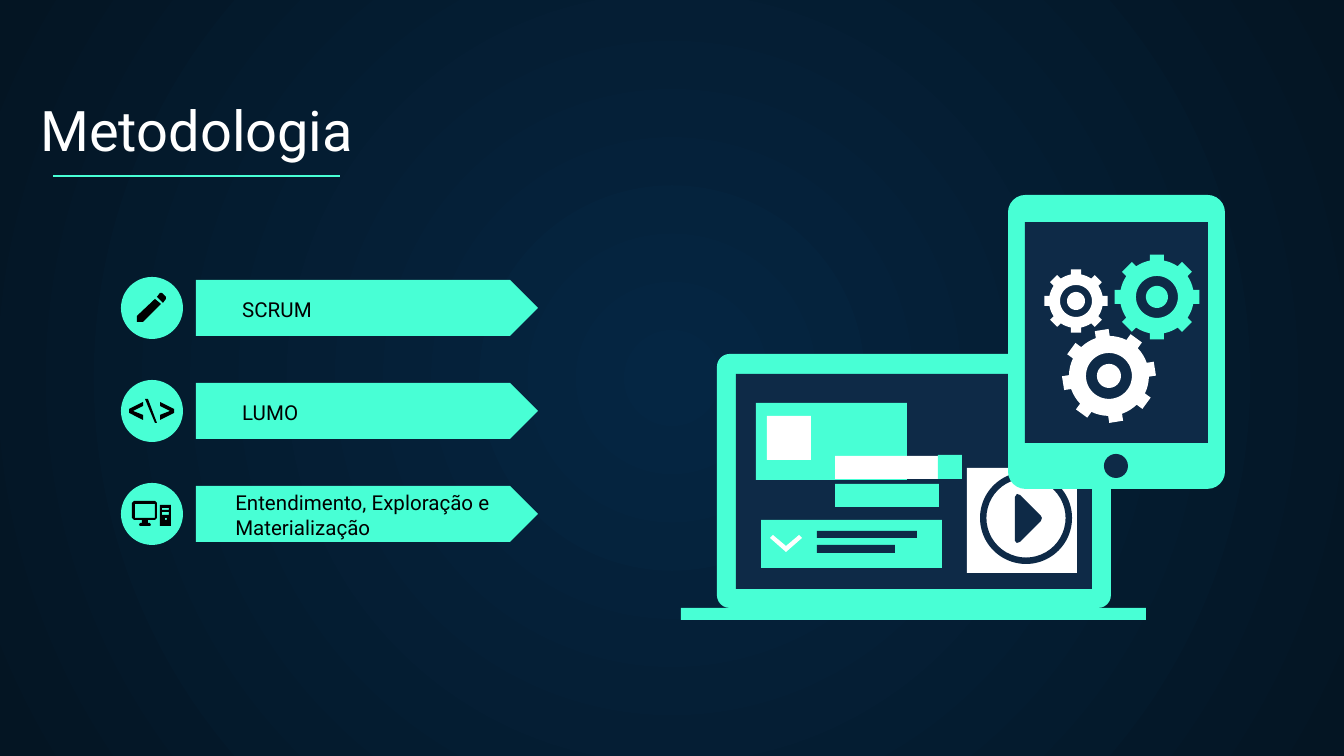
"""Build the methodology slide: three steps beside a laptop and a tablet."""
from math import cos, sin, radians, pi, asin

from lxml import etree
from pptx import Presentation
from pptx.dml.color import RGBColor
from pptx.enum.shapes import MSO_CONNECTOR, MSO_SHAPE
from pptx.enum.text import MSO_ANCHOR, MSO_AUTO_SIZE, PP_ALIGN
from pptx.oxml.ns import qn
from pptx.util import Pt

PX = 914400 / 134.4
FONT = "Roboto"
RECT = MSO_SHAPE.RECTANGLE
ROUND = MSO_SHAPE.ROUNDED_RECTANGLE
OVAL = MSO_SHAPE.OVAL
RING = MSO_SHAPE.DONUT
ARROW = MSO_SHAPE.PENTAGON
LINE = MSO_CONNECTOR.STRAIGHT
BOTTOM = MSO_ANCHOR.BOTTOM
LEFT = PP_ALIGN.LEFT
FIXED = MSO_AUTO_SIZE.NONE

COLORS = {"mint": "48FFD5", "navy": "0E2A47", "white": "FFFFFF",
          "black": "000000", "core": "052643", "edge": "041523"}

TITLE = ("Metodologia", (27, 85, 969, 91))
PITCH = 103
STEPS = [
    ("SCRUM", (229, 306, 305, 29)),
    ("LUMO", (229, 410, 305, 28)),
    ("Entendimento, Exploração e Materialização", (222, 513, 313, 40)),
]


def block(left, top, right, low):
    return [(left, top), (right, top), (right, low), (left, low)]


PENCIL = [
    [(155, 299), (137, 316), (137, 322), (143, 322), (161, 304)],
    [(160, 293), (157, 297), (163, 303), (166, 299), (166, 297), (162, 293)],
]
ANGLE = [(143, 420), (129, 413), (129, 409), (143, 402),
         (143, 406), (133, 411), (143, 415)]
SLASH = [(155, 423), (145, 399), (148, 399), (157, 423)]
MIRROR = [(303 - x, y) for x, y in ANGLE]
SCREEN = [
    [(134, 501), (155, 501), (157, 503), (157, 518), (155, 520), (148, 520),
     (148, 523), (150, 523), (151, 525), (150, 526), (140, 526), (139, 525),
     (140, 523), (142, 523), (142, 520), (134, 520), (132, 518), (132, 503)],
    block(135, 504, 155, 518),
]
TOWER = [block(160, 505, 171, 526), block(162, 508, 169, 510),
         block(162, 512, 169, 515), block(165, 518, 167, 520)]
ICONS = [PENCIL, [ANGLE], [SLASH], [MIRROR], SCREEN, TOWER]

CHEVRON = [(770, 538), (773, 535), (786, 546), (799, 535), (802, 538), (786, 552)]
PLAY = [(1015, 497), (1017, 494), (1020, 495), (1041, 516), (1042, 518),
        (1041, 521), (1020, 542), (1017, 543), (1015, 541)]

LAPTOP = [
    (ROUND, (717, 354, 394, 254), "mint", 0.05),
    (RECT, (736, 374, 356, 215), "navy", None),
    (RECT, (681, 608, 465, 12), "mint", None),
    (RECT, (756, 403, 151, 77), "mint", None),
    (RECT, (767, 416, 44, 44), "white", None),
    (RECT, (761, 520, 181, 48), "mint", None),
    (RECT, (817, 531, 100, 7), "navy", None),
    (RECT, (817, 545, 78, 8), "navy", None),
    (RECT, (835, 484, 104, 23), "mint", None),
    (RECT, (835, 456, 104, 23), "white", None),
    (RECT, (938, 455, 24, 24), "mint", None),
    (RECT, (967, 468, 110, 105), "white", None),
    (RING, (980, 472, 92, 92), "navy", 0.07),
]
TABLET = [
    (ROUND, (1008, 195, 217, 294), "mint", 0.08),
    (RECT, (1025, 222, 183, 221), "navy", None),
    (OVAL, (1104, 454, 24, 24), "navy", None),
]
GEARS = [
    ((1157, 297), (43, 37, 21, 11), 7, 0, "mint"),
    ((1076, 301), (32, 27, 16, 9), 5, 0, "white"),
    ((1109, 376), (47, 40, 23, 12), 7, -9, "white"),
]


def emu(*vals):
    return [round(v * PX) for v in vals]


def rgb(name):
    return RGBColor.from_string(COLORS[name])


def paint(shape, color):
    shape.shadow.inherit = False
    shape.fill.solid()
    shape.fill.fore_color.rgb = rgb(color)
    shape.line.fill.background()


def draw(slide, kind, box, color, adj=None):
    shape = slide.shapes.add_shape(kind, *emu(*box))
    if adj is not None:
        shape.adjustments[0] = adj
    paint(shape, color)


def trace(slide, loops, color):
    pen = None
    for loop in loops:
        pts = [emu(*pt) for pt in loop]
        if pen is None:
            pen = slide.shapes.build_freeform(*pts[0])
        else:
            pen.move_to(*pts[0])
        pen.add_line_segments(pts[1:], close=True)
    paint(pen.convert_to_shape(), color)


def gear(mid, radii, half, turn):
    tip, root, hole, hub = radii

    def spot(rad, ang):
        return mid[0] + rad * sin(ang), mid[1] - rad * cos(ang)

    teeth = []
    near, far = asin(half / root), asin(half / tip)
    gap = (pi / 4 - 2 * near) / 4
    for num in range(8):
        ang = radians(turn) + num * pi / 4
        teeth += [spot(root, ang - near), spot(tip, ang - far),
                  spot(tip, ang + far)]
        teeth += [spot(root, ang + near + gap * k) for k in range(4)]
    rims = [[spot(rad, k * pi / 24) for k in range(48)] for rad in (hole, hub)]
    return [teeth, *rims]


def write(shape, text, box, size, color):
    shape.left, shape.top, shape.width, shape.height = emu(*box)
    frame = shape.text_frame
    frame.text = text
    frame.word_wrap = True
    frame.auto_size = FIXED
    frame.vertical_anchor = BOTTOM
    pad = emu(13.44)[0]
    frame.margin_left = frame.margin_right = pad
    frame.margin_top = frame.margin_bottom = pad
    para = frame.paragraphs[0]
    para.alignment = LEFT
    font = para.runs[0].font
    font.name, font.size = FONT, Pt(size)
    font.color.rgb = rgb(color)


def shade(slide):
    fill = slide.background.fill
    fill.gradient()
    for stop, name in zip(fill.gradient_stops, ("core", "edge")):
        stop.color.rgb = rgb(name)
    grad = slide.element.find(".//" + qn("a:gradFill"))
    grad.remove(grad.find(qn("a:lin")))
    ring = etree.SubElement(grad, qn("a:path"), path="circle")
    etree.SubElement(ring, qn("a:fillToRect"),
                     {side: "50000" for side in "ltrb"})


def main():
    prs = Presentation()
    prs.slide_width, prs.slide_height = emu(1344, 756)
    slide = prs.slides.add_slide(prs.slide_layouts[5])
    shade(slide)
    write(slide.shapes.title, *TITLE, 30, "white")

    rule = slide.shapes.add_connector(LINE, *emu(53, 176, 340, 176))
    rule.line.color.rgb = rgb("mint")
    rule.line.width = Pt(0.75)
    etree.SubElement(rule.element.spPr, qn("a:effectLst"))

    for num, (text, box) in enumerate(STEPS):
        drop = num * PITCH
        draw(slide, ARROW, (196, 280 + drop, 342, 56), "mint", 0.5)
        draw(slide, OVAL, (121, 277 + drop, 62, 62), "mint")
        write(slide.shapes.add_textbox(0, 0, 0, 0), text, box, 11, "black")
    for icon in ICONS:
        trace(slide, icon, "black")

    for part in LAPTOP:
        draw(slide, *part)
    trace(slide, [CHEVRON], "white")
    trace(slide, [PLAY], "navy")
    for part in TABLET:
        draw(slide, *part)
    for *form, color in GEARS:
        trace(slide, gear(*form), color)
    prs.save("out.pptx")


if __name__ == "__main__":
    main()
